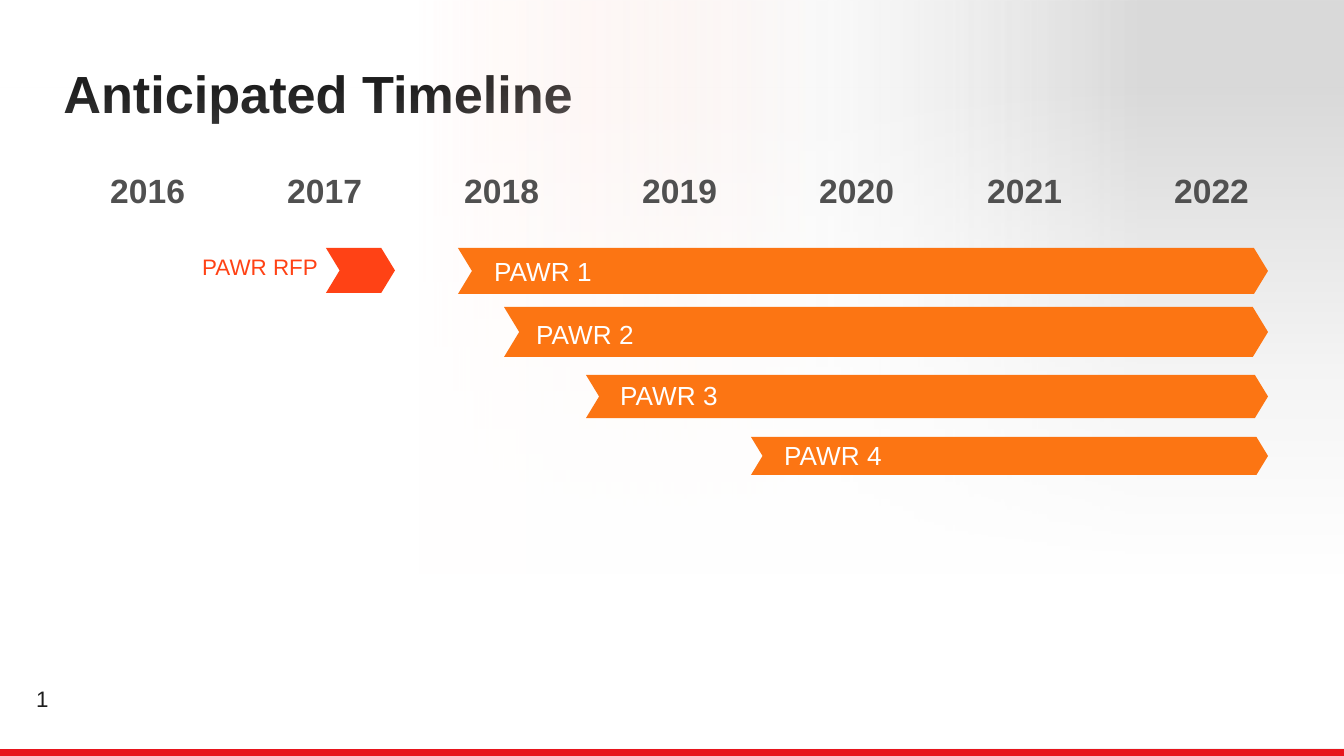
from lxml.etree import SubElement
from pptx import Presentation
from pptx.dml.color import RGBColor
from pptx.enum.shapes import MSO_SHAPE
from pptx.enum.text import MSO_ANCHOR, PP_ALIGN
from pptx.oxml import parse_xml
from pptx.oxml.ns import nsdecls, qn
from pptx.util import Pt

SCALE = 914400 / 134.4
INK = RGBColor(0x1E, 0x1E, 0x1E)
GRAY = RGBColor(0x50, 0x50, 0x50)
WHITE = RGBColor(0xFF, 0xFF, 0xFF)
ORANGE = RGBColor(0xFC, 0x75, 0x13)
VERMILION = RGBColor(0xFF, 0x42, 0x15)
RED = RGBColor(0xE7, 0x15, 0x1C)


def add_block(kind, box, color):
    block = slide.shapes.add_shape(kind, *[round(n * SCALE) for n in box])
    block.shadow.inherit = False
    block.fill.solid()
    block.fill.fore_color.rgb = color
    block.line.fill.background()
    return block


def write(holder, box, text, size, color, bold=False, wrap=True):
    for side, value in zip(("left", "top", "width", "height"), box):
        setattr(holder, side, round(value * SCALE))
    frame = holder.text_frame
    frame.text = text
    frame.word_wrap = wrap
    paragraph = frame.paragraphs[0]
    paragraph.alignment = PP_ALIGN.LEFT
    style = {"name": "Arial", "size": Pt(size), "bold": bold}
    for key, value in style.items():
        setattr(paragraph.runs[0].font, key, value)
    paragraph.runs[0].font.color.rgb = color
    return frame


prs = Presentation()
prs.slide_width = round(1344 * SCALE)
prs.slide_height = round(756 * SCALE)
slide = prs.slides.add_slide(prs.slide_layouts[5])

washes = [
    ((0, 0, 1345, 756), 0, [(31, "FFC3B5", 0), (61, "F2F2F2", 43), (85, "D9D9D9", 100)]),
    ((0, 87, 1345, 663), 90, [(0, "FFFFFF", 0), (42, "FFFFFF", 71), (74, "FFFFFF", 100)]),
]
for box, angle, stops in washes:
    wash = add_block(MSO_SHAPE.RECTANGLE, box, WHITE)
    stop_xml = "".join(
        f'<a:gs pos="{pos * 1000}"><a:srgbClr val="{color}">'
        f'<a:alpha val="{alpha * 1000}"/></a:srgbClr></a:gs>'
        for pos, color, alpha in stops
    )
    gradient = parse_xml(
        f'<a:gradFill {nsdecls("a")} rotWithShape="1"><a:gsLst>{stop_xml}</a:gsLst>'
        f'<a:lin ang="{angle * 60000}" scaled="0"/></a:gradFill>'
    )
    properties = wash.fill._xPr
    properties.replace(properties.find(qn("a:solidFill")), gradient)

footer_bar = add_block(MSO_SHAPE.RECTANGLE, (0, 750, 1345, 7), RED)
footer_bar.line.color.rgb = RED
footer_bar.line.width = Pt(0.75)

title_frame = write(slide.shapes.title, (50, 54, 1239, 72), "Anticipated Timeline", 28, INK, True)
title_format = {"vertical_anchor": MSO_ANCHOR.BOTTOM, "margin_bottom": round(2 * SCALE)}
for key, value in title_format.items():
    setattr(title_frame, key, value)

years = slide.shapes.add_textbox(0, 0, 0, 0)
year_text = "\t".join(str(year) for year in range(2016, 2023))
year_frame = write(years, (97, 163, 1196, 54), year_text, 18, GRAY, True)
tab_list = SubElement(year_frame.paragraphs[0]._p.get_or_add_pPr(), qn("a:tabLst"))
for stop in (177, 354, 532, 709, 877, 1064):
    SubElement(tab_list, qn("a:tab"), pos=str(round(stop * SCALE)), algn="l")

phases = [
    ((326, 248, 69, 45), VERMILION),
    ((458, 248, 810, 46), ORANGE),
    ((504, 307, 764, 50), ORANGE),
    ((586, 375, 682, 43), ORANGE),
    ((751, 437, 517, 38), ORANGE),
]
for box, color in phases:
    add_block(MSO_SHAPE.CHEVRON, box, color).adjustments[0] = 0.304

labels = [
    ("PAWR RFP", (189, 247, 171, 41), 12, VERMILION, True),
    ("PAWR 1", (481, 249, 125, 45), 14, WHITE, False),
    ("PAWR 2", (523, 312, 125, 45), 14, WHITE, False),
    ("PAWR 3", (607, 373, 125, 45), 14, WHITE, False),
    ("PAWR 4", (771, 433, 125, 45), 14, WHITE, False),
    ("1", (23, 679, 77, 41), 12, INK, True),
]
for text, box, size, color, wrap in labels:
    write(slide.shapes.add_textbox(0, 0, 0, 0), box, text, size, color, wrap=wrap)

prs.save("out.pptx")
